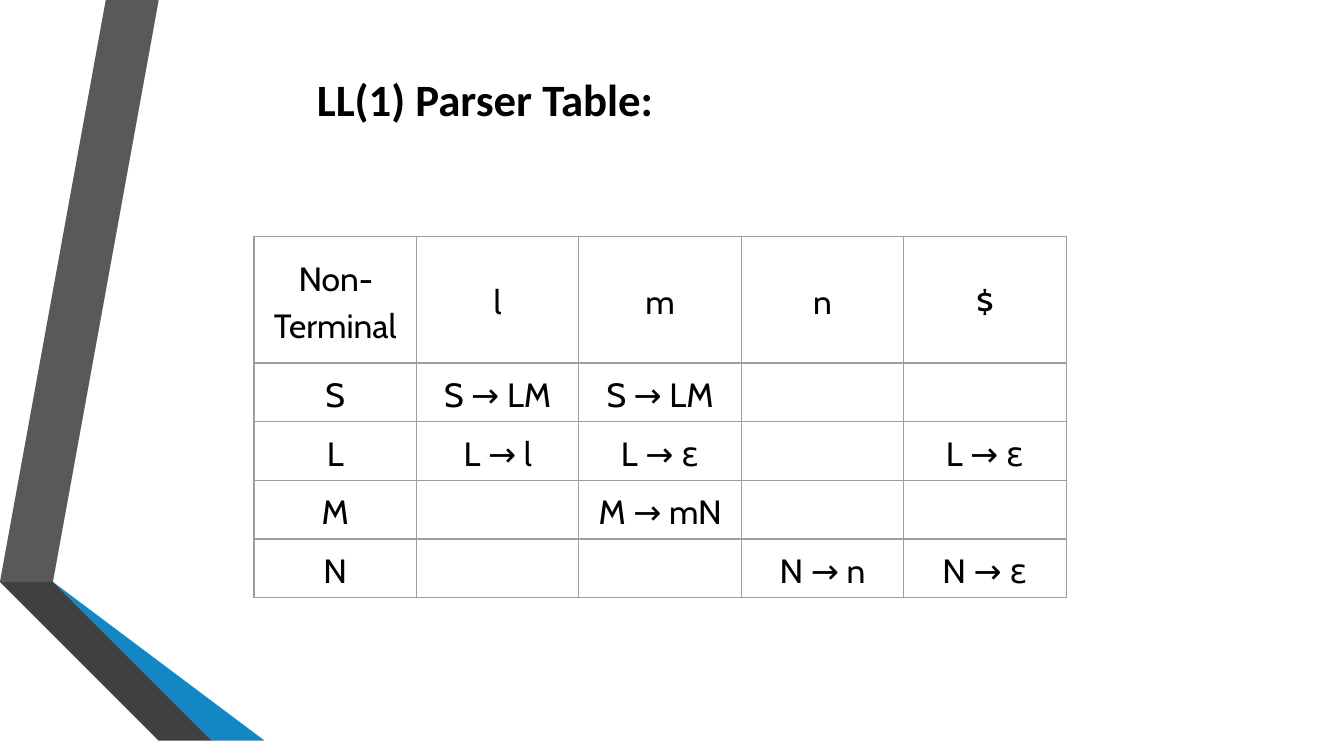
"""Build the LL(1) parser table slide."""
from lxml import etree
from pptx import Presentation
from pptx import util as u
from pptx.dml import color
from pptx.enum import text
from pptx.oxml import ns


def rgb(value):
    return color.RGBColor.from_string(value)


def write(tf, content, font="Cabin", size=18, bold=False, align=text.PP_ALIGN.LEFT, spacing=1.0):
    p = tf.paragraphs[0]
    p.alignment = align
    p.line_spacing = spacing
    r = p.add_run()
    r.text = content
    r.font.name = font
    r.font.size = u.Pt(size)
    r.font.bold = bold
    r.font.color.rgb = rgb("000000")


prs = Presentation()
prs.slide_width, prs.slide_height = u.Cm(25.4), u.Cm(14.29)
s = prs.slides.add_slide(prs.slide_layouts[6])

ribbons = [
    ("30ACEC", [(0.97, 11.02), (1.47, 11.1), (3.3, 0), (2.77, 0)]),
    ("595959", [(2.64, 0), (2.11, 0), (0.3, 10.92), (0.84, 11)]),
    ("262626", [(0.3, 10.92), (2.77, 14.29), (2.87, 14.29)]),
    ("0C5A82", [(0.97, 11.02), (3.96, 14.29), (4.06, 14.29)]),
    ("1287C3", [(0.97, 11.02), (4.06, 14.29), (5.38, 14.29), (1.47, 11.1)]),
    ("404040", [(3.84, 14.29), (0.91, 11.13), (0.81, 11), (0.3, 10.92), (2.87, 14.29)]),
]
for fill, points in ribbons:
    builder = s.shapes.build_freeform(*points[0], scale=u.Cm(1))
    builder.add_line_segments(points[1:], close=True)
    sp = builder.convert_to_shape()
    sp.fill.solid()
    sp.fill.fore_color.rgb = rgb(fill)
    sp.line.fill.background()
    sp.shadow.inherit = False

rows = [
    ["Non-Terminal", "l", "m", "n", "$"],
    ["S", "S → LM", "S → LM", "", ""],
    ["L", "L → l", "L → ε", "", "L → ε"],
    ["M", "", "M → mN", "", ""],
    ["N", "", "", "N → n", "N → ε"],
]
heights = [2.39] + [1.11] * 4
table = s.shapes.add_table(
    len(rows), len(rows[0]), u.Cm(4.8), u.Cm(4.47), u.Cm(15.35), u.Cm(sum(heights))
).table
table.first_row = table.horz_banding = False
for row, height in zip(table.rows, heights):
    row.height = u.Cm(height)
for i, labels in enumerate(rows):
    for j, label in enumerate(labels):
        cell = table.cell(i, j)
        cell.margin_left = cell.margin_right = u.Cm(0.03)
        cell.margin_top = cell.margin_bottom = u.Cm(0.03)
        cell.vertical_anchor = text.MSO_ANCHOR.MIDDLE
        write(cell.text_frame, label, align=text.PP_ALIGN.CENTER, spacing=1.15)
        props = cell._tc.get_or_add_tcPr()
        for side in ("lnL", "lnR", "lnT", "lnB"):
            ln = etree.SubElement(props, ns.qn(f"a:{side}"), w=str(u.Pt(0.75)))
            solid = etree.SubElement(ln, ns.qn("a:solidFill"))
            etree.SubElement(solid, ns.qn("a:srgbClr"), val="9E9E9E")
        cell.fill.background()

title = s.shapes.add_textbox(u.Cm(5.74), u.Cm(1.24), u.Cm(7.01), u.Cm(2.31))
tf = title.text_frame
tf.word_wrap = False
tf.vertical_anchor = text.MSO_ANCHOR.TOP
write(tf, "LL(1) Parser Table:", font="Calibri", size=24, bold=True)

prs.save("out.pptx")
